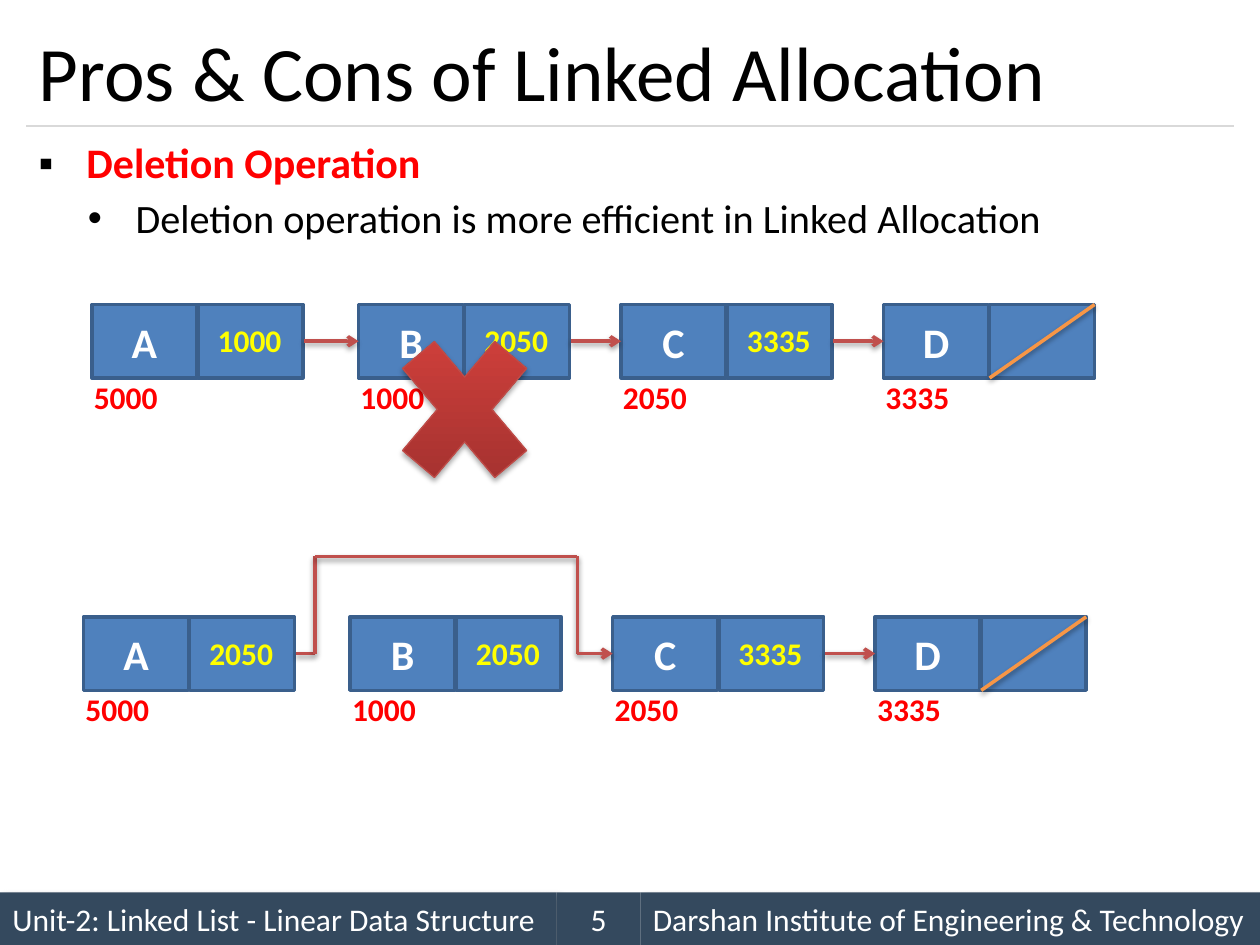
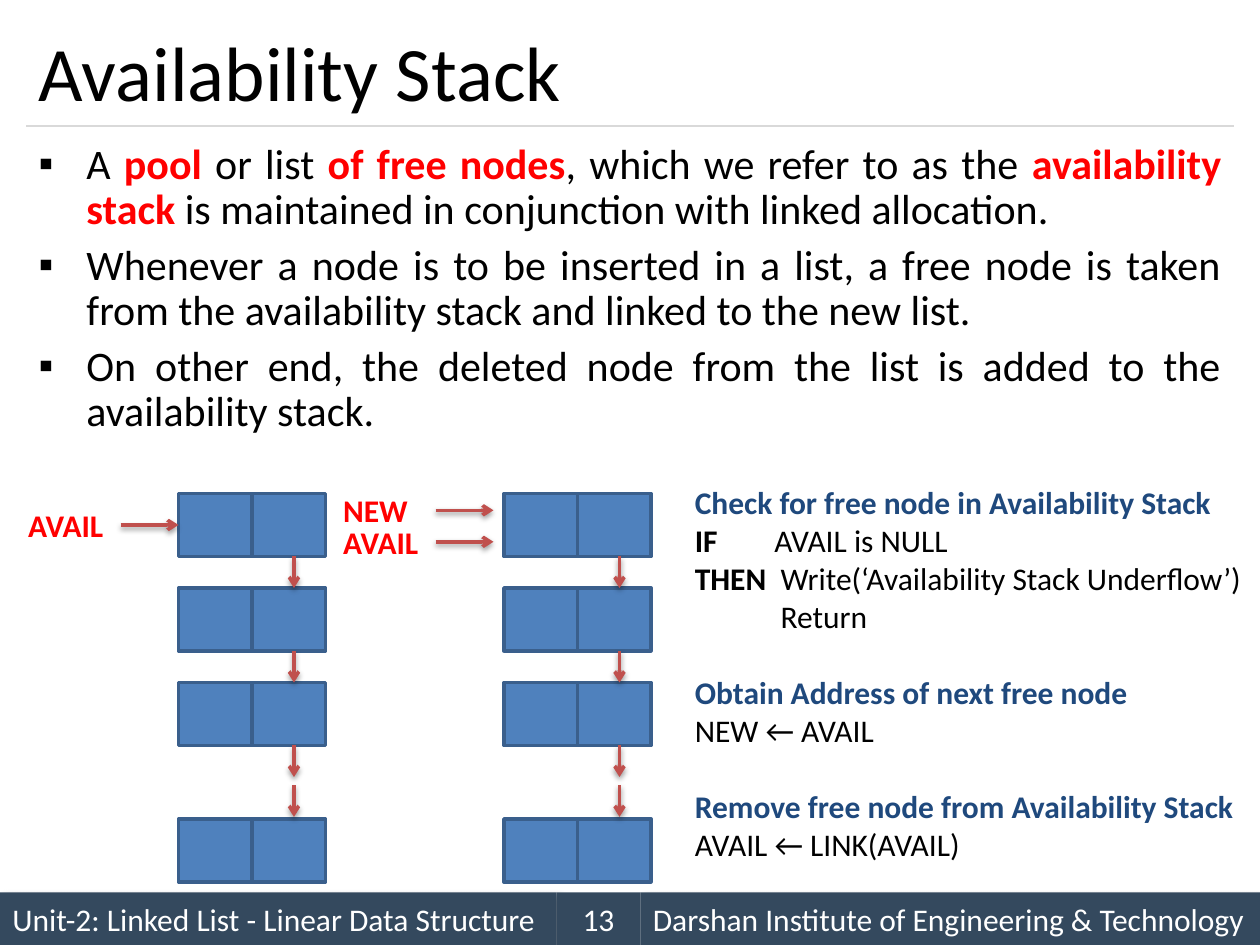
import itertools
from dataclasses import dataclass
from typing import NamedTuple

import lxml.etree
import pptx
import pptx.dml.color
import pptx.enum.shapes
import pptx.enum.text
import pptx.oxml.ns
import pptx.shapes.autoshape
import pptx.slide
import pptx.text.text
import pptx.util

RGB = pptx.dml.color.RGBColor
BLACK = RGB(0x00, 0x00, 0x00)
WHITE = RGB(0xFF, 0xFF, 0xFF)
RED = RGB(0xFF, 0x00, 0x00)
YELLOW = RGB(0xFF, 0xFF, 0x00)
NAVY = RGB(0x1F, 0x49, 0x7D)
SLATE = RGB(0x34, 0x49, 0x5E)
RULE_GREY = RGB(0xD9, 0xD9, 0xD9)
NODE_FILL = RGB(0x4F, 0x81, 0xBD)
NODE_EDGE = RGB(0x3A, 0x5F, 0x8C)
LINK_RED = RGB(0xC0, 0x50, 0x4D)
NULL_ORANGE = RGB(0xF7, 0x96, 0x46)
CROSS_DARK = RGB(0x9C, 0x2F, 0x2D)
CROSS_LIGHT = RGB(0xCB, 0x3E, 0x3A)
CROSS_EDGE = RGB(0xBF, 0x4C, 0x48)

FONT = "Calibri"
BULLET_FONT = "Arial"
SLIDE_WIDTH = pptx.util.Inches(10)
SLIDE_HEIGHT = pptx.util.Inches(7.5)
COLUMNS, ROWS = 120, 90
TITLE_ONLY = 5
ALIGN = pptx.enum.text.PP_ALIGN
MIDDLE = pptx.enum.text.MSO_ANCHOR.MIDDLE
SHAPES = pptx.enum.shapes.MSO_SHAPE


class Area(NamedTuple):
    column: float
    row: float
    width: float
    height: float

    def lengths(self) -> tuple[int, ...]:
        return (across(self.column), down(self.row), across(self.width), down(self.height))


class Point(NamedTuple):
    column: float
    row: float


class Shadow(NamedTuple):
    alpha: float
    blur: float
    distance: float
    angle: float


class Span(NamedTuple):
    text: str
    color: RGB = BLACK
    bold: bool = False
    size: float = 18


@dataclass(frozen=True)
class Para:
    spans: tuple[Span, ...]
    align: ALIGN = ALIGN.LEFT
    bullet: str = ""
    margin: float = 0
    hanging: float = 0
    before: float = 0
    spacing: float = 1.0


class Node(NamedTuple):
    column: float
    name: str
    address: str
    link: str = ""


class Pointer(NamedTuple):
    name: str
    column: float
    row: float


BAND_SHADOW = Shadow(40, 4, 3, 45)
LINE_SHADOW = Shadow(38, 3.1, 1.6, 90)
CROSS_SHADOW = Shadow(35, 3.1, 1.8, 90)


def across(columns: float) -> int:
    return round(SLIDE_WIDTH * columns / COLUMNS)


def down(rows: float) -> int:
    return round(SLIDE_HEIGHT * rows / ROWS)


def add_xml(parent, tag: str, **attributes):
    child = lxml.etree.SubElement(parent, pptx.oxml.ns.qn(tag))
    for key, value in attributes.items():
        child.set(key, str(value))
    return child


def cast_shadow(effects, shadow: Shadow) -> None:
    outer = add_xml(
        effects, "a:outerShdw",
        blurRad=pptx.util.Pt(shadow.blur), dist=pptx.util.Pt(shadow.distance),
        dir=shadow.angle * 60000, algn="t", rotWithShape=0,
    )
    tone = add_xml(outer, "a:srgbClr", val=BLACK)
    add_xml(tone, "a:alpha", val=shadow.alpha * 1000)


def write(frame: pptx.text.text.TextFrame, paras: list[Para]) -> None:
    for index, para in enumerate(paras):
        line = frame.paragraphs[0] if index == 0 else frame.add_paragraph()
        properties = line._p.get_or_add_pPr()
        properties.set("marL", str(pptx.util.Inches(para.margin)))
        properties.set("indent", str(-pptx.util.Inches(para.hanging)))
        if para.bullet:
            add_xml(add_xml(properties, "a:buClr"), "a:srgbClr", val=BLACK)
            add_xml(properties, "a:buFont", typeface=BULLET_FONT)
            add_xml(properties, "a:buChar", char=para.bullet)
        line.alignment = para.align
        line.line_spacing = para.spacing
        line.space_before = pptx.util.Pt(para.before if index else 0)
        for span in para.spans:
            run = line.add_run()
            run.text = span.text
            run.font.name = FONT
            run.font.size = pptx.util.Pt(span.size)
            run.font.bold = span.bold
            run.font.color.rgb = span.color


def add_text(page: pptx.slide.Slide, area: Area, paras: list[Para], wrap: bool = True) -> None:
    box = page.shapes.add_textbox(*area.lengths())
    box.text_frame.word_wrap = wrap
    write(box.text_frame, paras)


def add_block(page: pptx.slide.Slide, area: Area, fill: RGB, edge: RGB | None = None,
              para: Para | None = None) -> pptx.shapes.autoshape.Shape:
    block = page.shapes.add_shape(SHAPES.RECTANGLE, *area.lengths())
    block.shadow.inherit = False
    block.fill.solid()
    block.fill.fore_color.rgb = fill
    if edge is None:
        block.line.fill.background()
    else:
        block.line.color.rgb = edge
        block.line.width = pptx.util.Pt(2)
    if para:
        block.text_frame.vertical_anchor = MIDDLE
        write(block.text_frame, [para])
    return block


def add_line(page: pptx.slide.Slide, start: Point, end: Point, color: RGB = LINK_RED,
             weight: float = 2, arrow: bool = False, shadow: Shadow | None = LINE_SHADOW) -> None:
    line = page.shapes.add_connector(
        pptx.enum.shapes.MSO_CONNECTOR.STRAIGHT,
        across(start.column), down(start.row), across(end.column), down(end.row),
    )
    line.line.color.rgb = color
    line.line.width = pptx.util.Pt(weight)
    if arrow:
        add_xml(line.line._get_or_add_ln(), "a:tailEnd", type="arrow")
    effects = add_xml(line._element.spPr, "a:effectLst")
    if shadow:
        cast_shadow(effects, shadow)


def add_page(deck, title: str, number: int) -> pptx.slide.Slide:
    page = deck.slides.add_slide(deck.slide_layouts[TITLE_ONLY])
    heading = page.shapes.title
    heading.left, heading.top, heading.width, heading.height = Area(2.5, 1.5, 115, 10.5).lengths()
    heading.text_frame.vertical_anchor = MIDDLE
    write(heading.text_frame, [Para((Span(title, size=44),))])
    footers = [
        (0, 53, "Unit-2: Linked List - Linear Data Structure", ALIGN.LEFT, BAND_SHADOW),
        (61, 59, "Darshan Institute of Engineering & Technology", ALIGN.LEFT, BAND_SHADOW),
        (53, 8, str(number), ALIGN.CENTER, None),
    ]
    for column, width, text, align, shadow in footers:
        band = add_block(page, Area(column, 85, width, 5), SLATE,
                         para=Para((Span(text, WHITE),), align))
        if shadow:
            cast_shadow(band._element.spPr.find(pptx.oxml.ns.qn("a:effectLst")), shadow)
    add_line(page, Point(2.5, 12), Point(117.5, 12), RULE_GREY, 0.75, shadow=None)
    return page


def bullet(*spans: Span, level: int = 0) -> Para:
    return Para(spans, ALIGN.JUSTIFY, "▪•"[level], 0.38 + 0.39 * level, 0.38, 6, 0.9)


CELL_WIDTH, CELL_HEIGHT = 10.1, 7


def add_chain(page: pptx.slide.Slide, nodes: list[Node], row: float, shift: float) -> None:
    for node in nodes:
        left = node.column + shift
        name = Para((Span(node.name, WHITE, True, 24),), ALIGN.CENTER)
        add_block(page, Area(left, row, 10, CELL_HEIGHT), NODE_FILL, NODE_EDGE, name)
        add_block(page, Area(left + CELL_WIDTH, row, 10, CELL_HEIGHT), NODE_FILL, NODE_EDGE)
        labels = [(left - 1, row + 6.4, node.address, RED),
                  (left + CELL_WIDTH + 0.7, row + 1, node.link, YELLOW)]
        for column, top, text, color in labels:
            if text:
                add_text(page, Area(column, top, 8.5, 4.8), [Para((Span(text, color, True),))], False)
    end = nodes[-1].column + shift + CELL_WIDTH
    add_line(page, Point(end + 10, row), Point(end, row + CELL_HEIGHT), NULL_ORANGE)


def add_link(page: pptx.slide.Slide, source: Node, target: Node, row: float, shift: float) -> None:
    middle = row + CELL_HEIGHT / 2
    add_line(page, Point(source.column + shift + 2 * CELL_WIDTH, middle),
             Point(target.column + shift, middle), arrow=True)


def build_deletion(deck) -> None:
    page = add_page(deck, "Pros & Cons of Linked Allocation", 5)
    add_text(page, Area(2.5, 13, 115, 11.8), [
        bullet(Span("Deletion Operation", RED, True, 24)),
        bullet(Span("Deletion operation is more efficient in Linked Allocation", size=23), level=1),
    ])
    before = [Node(8.75, "A", "5000", "1000"), Node(34.15, "B", "1000", "2050"),
              Node(59.15, "C", "2050", "3335"), Node(84.15, "D", "3335")]
    top = 29
    add_chain(page, before, top, 0)
    for source, target in itertools.pairwise(before):
        add_link(page, source, target, top, 0)
    cross = page.shapes.add_shape(SHAPES.MATH_MULTIPLY, *Area(35.8, top, 16.9, 20).lengths())
    cross.shadow.inherit = False
    cast_shadow(cross._element.spPr.find(pptx.oxml.ns.qn("a:effectLst")), CROSS_SHADOW)
    cross.fill.gradient()
    cross.fill.gradient_angle = 90
    for stop, position, color in zip(cross.fill.gradient_stops, (0, 0.8), (CROSS_DARK, CROSS_LIGHT)):
        stop.position = position
        stop.color.rgb = color
    cross.line.color.rgb = CROSS_EDGE
    cross.line.width = pptx.util.Pt(0.75)

    after = [before[0]._replace(link="2050"), *before[1:]]
    top, shift = 58.75, -0.8
    add_chain(page, after, top, shift)
    add_link(page, after[2], after[3], top, shift)
    middle = top + CELL_HEIGHT / 2
    target = Point(after[2].column + shift, middle)
    bypass = [Point(after[0].column + shift + 2 * CELL_WIDTH, middle), Point(30, middle),
              Point(30, 53), Point(55, 53), Point(55, middle), target]
    for start, end in itertools.pairwise(bypass):
        add_line(page, start, end, arrow=end == target)


def add_stack(page: pptx.slide.Slide, column: float) -> None:
    for row in (47, 56, 65, 78):
        for offset in (0, 7):
            add_block(page, Area(column + offset, row, 7, 6), NODE_FILL, NODE_EDGE)
    for row in (53, 62, 71, 74.8):
        add_line(page, Point(column + 11, row), Point(column + 11, row + 3), arrow=True)


def add_pseudocode(page: pptx.slide.Slide, left: float, top: float) -> None:
    line_rows, line_points = 3.62, 22
    width, statement_offset = COLUMNS - left, 7.56
    step = lambda text: Para((Span(text, NAVY, True),), before=line_points)
    keyword = lambda text: Para((Span(text, bold=True),))
    statement = lambda text, margin=0.0: Para((Span(text),), margin=margin)
    add_text(page, Area(left, top, width, 4 * line_rows), [
        step("Check for free node in Availability Stack"), keyword("IF"), keyword("THEN"),
    ])
    add_text(page, Area(left + statement_offset, top + line_rows,
                        width - statement_offset, 4 * line_rows), [
        statement("AVAIL is NULL"),
        statement("Write(‘Availability Stack Underflow’)", 0.05),
        statement("Return", 0.05),
    ])
    add_text(page, Area(left, top + 5 * line_rows, width, 5.4 * line_rows), [
        step("Obtain Address of next free node"), statement("NEW ← AVAIL"),
        step("Remove free node from Availability Stack"), statement("AVAIL ← LINK(AVAIL)"),
    ])


def build_availability(deck) -> None:
    page = add_page(deck, "Availability Stack", 13)
    plain = lambda text: Span(text, size=24)
    strong = lambda text: Span(text, RED, True, 24)
    add_text(page, Area(2.5, 13, 115, 32), [
        bullet(plain("A "), strong("pool"), plain(" or list "), strong("of free nodes"),
               plain(", which we refer to as the "), strong("availability stack"),
               plain(" is maintained in conjunction with linked allocation.")),
        bullet(plain("Whenever a node is to be inserted in a list, a free node is taken from "
                     "the availability stack and linked to the new list.")),
        bullet(plain("On other end, the deleted node from the list is added to the "
                     "availability stack.")),
    ])
    for column in (17, 48):
        add_stack(page, column)
    pointers = [Pointer("AVAIL", 1.5, 47.6), Pointer("AVAIL", 31.5, 49.2), Pointer("NEW", 31.5, 46.2)]
    for name, column, row in pointers:
        add_text(page, Area(column, row, 10, 4.8), [Para((Span(name, RED, True),))])
        add_line(page, Point(column + 10, row + 2.4), Point(column + 15.5, row + 2.4), arrow=True)
    add_pseudocode(page, 65, 45.4)


def main() -> None:
    deck = pptx.Presentation()
    deck.slide_width, deck.slide_height = SLIDE_WIDTH, SLIDE_HEIGHT
    build_deletion(deck)
    build_availability(deck)
    deck.save("out.pptx")


if __name__ == "__main__":
    main()
